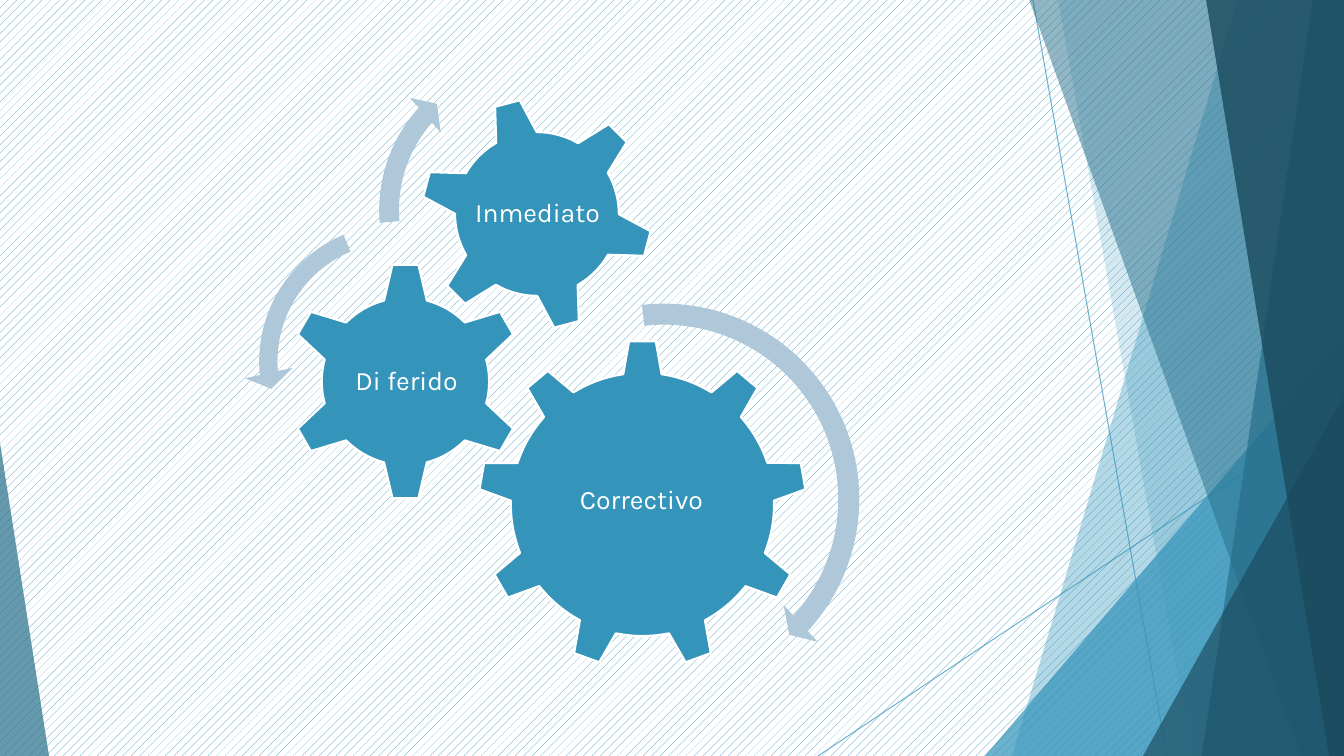
from lxml.etree import SubElement
from pptx import Presentation
from pptx.dml.color import RGBColor
from pptx.enum.dml import MSO_PATTERN
from pptx.enum.shapes import MSO_CONNECTOR, MSO_SHAPE
from pptx.enum.text import MSO_ANCHOR, PP_ALIGN
from pptx.oxml.ns import qn
from pptx.util import Emu, Pt

WIDTH, HEIGHT = 1344, 756
SCALE = 12192000 / WIDTH

BLUE = RGBColor(0x34, 0x94, 0xBA)
DEEP = RGBColor(0x27, 0x6F, 0x8B)
DARK = RGBColor(0x1A, 0x4A, 0x5D)
PALE = RGBColor(0xAE, 0xC8, 0xD9)
WHITE = RGBColor(0xFF, 0xFF, 0xFF)

# Thin lines: x1, y1, x2, y2
RAYS = [(1033, 0, 1167, HEIGHT), (WIDTH, 406, 818, HEIGHT)]

# Bands reach the right edge: ("band", top x, bottom x, colour, opacity %)
# Triangles: ("triangle", (left, top, width, height), apex, colour, opacity %)
FACETS = [
    ("band", 1238, 1012, BLUE, 36),
    ("band", 1058, 1192, BLUE, 20),
    ("triangle", (985, 336, 359, 420), 1, BLUE, 72),
    ("band", 1029, 1301, DEEP, 50),
    ("band", 1313, 1202, DEEP, 70),
    ("band", 1206, 1329, DARK, 80),
    ("triangle", (1143, 396, 201, 360), 1, DARK, 66),
    ("triangle", (0, 443, 49, 313), 0, DEEP, 70),
]

# Gears: label, preset, left, top, size, rotation, label box
GEARS = [
    ("Correctivo", MSO_SHAPE.GEAR_9, 478, 340, 329, 0, (543, 416, 197, 169)),
    ("Di ferido", MSO_SHAPE.GEAR_6, 286, 262, 239, 0, (347, 323, 119, 118)),
    ("Inmediato", MSO_SHAPE.GEAR_6, 420, 97, 234, 345, (472, 148, 131, 131)),
]

# Turning arrows: preset, left, top, size, adjustments
ARROWS = [
    (MSO_SHAPE.CIRCULAR_ARROW, 454, 289, 420, (0.05, 2.99, 25.39, 158.12, 0.06)),
    (MSO_SHAPE.LEFT_CIRCULAR_ARROW, 244, 209, 305, (0.06, 4.3, 104.89, 148.38, 0.08)),
    (MSO_SHAPE.CIRCULAR_ARROW, 366, 45, 330, (0.06, 3.94, 133.14, 105.08, 0.07)),
]


def px(*lengths):
    return [Emu(round(length * SCALE)) for length in lengths]


def set_opacity(fill_parent, percent):
    """Make the solid colour found below an XML element see-through."""
    colour = fill_parent.find(qn("a:solidFill")).find(qn("a:srgbClr"))
    SubElement(colour, qn("a:alpha"), val=str(percent * 1000))


def paint(shape, colour, opacity=100):
    shape.shadow.inherit = False
    shape.fill.solid()
    shape.fill.fore_color.rgb = colour
    shape.line.fill.background()
    if opacity < 100:
        set_opacity(shape.fill._xPr, opacity)


def add_preset(page, preset, box, adjustments=()):
    shape = page.shapes.add_shape(preset, *px(*box))
    for index, value in enumerate(adjustments):
        shape.adjustments[index] = value
    return shape


def add_ray(page, ends):
    ray = page.shapes.add_connector(MSO_CONNECTOR.STRAIGHT, *px(*ends))
    ray.line.color.rgb = BLUE
    ray.line.width = Pt(0.75)
    properties = ray._element.spPr
    set_opacity(properties.find(qn("a:ln")), 70)
    SubElement(properties, qn("a:effectLst"))


def add_band(page, top_x, bottom_x):
    outline = page.shapes.build_freeform(top_x, -1, scale=SCALE)
    outline.add_line_segments([(WIDTH, -1), (WIDTH, HEIGHT), (bottom_x, HEIGHT)], close=True)
    return outline.convert_to_shape()


def add_label(page, text, box):
    frame = page.shapes.add_textbox(*px(*box)).text_frame
    inset = px(3)[0]
    frame_format = {
        "word_wrap": True, "vertical_anchor": MSO_ANCHOR.MIDDLE,
        "margin_left": inset, "margin_right": inset,
        "margin_top": inset, "margin_bottom": inset,
    }
    for name, value in frame_format.items():
        setattr(frame, name, value)
    para = frame.paragraphs[0]
    para.alignment = PP_ALIGN.CENTER
    para.line_spacing = 0.9
    span = para.add_run()
    span.text = text
    for name, value in {"name": "Karla", "size": Pt(19)}.items():
        setattr(span.font, name, value)
    span.font.color.rgb = WHITE


def add_gear(page, label, preset, left, top, size, rotation, label_box):
    gear = add_preset(page, preset, (left, top, size, size))
    paint(gear, BLUE)
    gear.rotation = rotation
    gear.line.color.rgb = WHITE
    gear.line.width = Pt(1.5)
    add_label(page, label, label_box)


def main():
    deck = Presentation()
    deck.slide_width, deck.slide_height = px(WIDTH, HEIGHT)
    page = deck.slides.add_slide(deck.slide_layouts[6])

    backdrop = page.background.fill
    backdrop.patterned()
    backdrop.pattern = MSO_PATTERN.PERCENT_20
    backdrop.fore_color.rgb = BLUE
    backdrop.back_color.rgb = WHITE

    for ends in RAYS:
        add_ray(page, ends)
    for kind, first, second, colour, opacity in FACETS:
        if kind == "band":
            facet = add_band(page, first, second)
        else:
            facet = add_preset(page, MSO_SHAPE.ISOSCELES_TRIANGLE, first, [second])
        paint(facet, colour, opacity)
    for gear in GEARS:
        add_gear(page, *gear)
    for preset, left, top, size, adjustments in ARROWS:
        paint(add_preset(page, preset, (left, top, size, size), adjustments), PALE)

    deck.save("out.pptx")


if __name__ == "__main__":
    main()
